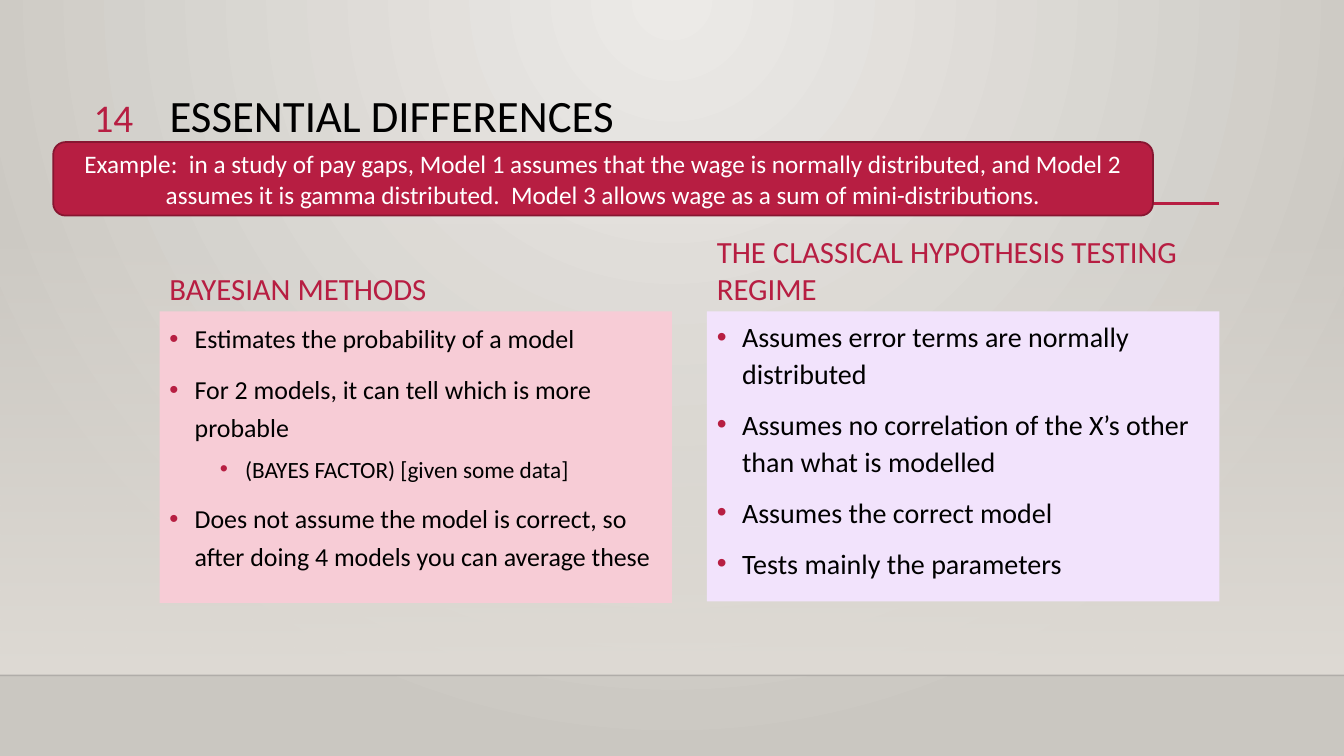
import lxml.etree
import pptx
import pptx.dml.color
import pptx.enum.shapes
import pptx.enum.text
import pptx.oxml.ns
import pptx.util

Pt = pptx.util.Pt
qn = pptx.oxml.ns.qn
Align = pptx.enum.text.PP_ALIGN
Anchor = pptx.enum.text.MSO_ANCHOR
Preset = pptx.enum.shapes.MSO_SHAPE

FONT = "Calibri"
CRIMSON = "B71E42"
BLACK = "000000"
SAND = "DFDBD5"
WIDTH, HEIGHT = 960, 540
FLOOR_TOP = 482.4

BAYESIAN_POINTS = [
    ("Estimates the probability of a model", 0),
    ("For 2 models, it can tell which is more probable", 0),
    ("(BAYES FACTOR) [given some data]", 1),
    ("Does not assume the model is correct, so after doing 4 models you can average these", 0),
]
CLASSICAL_POINTS = [
    ("Assumes error terms are normally distributed", 0),
    ("Assumes no correlation of the X’s other than what is modelled", 0),
    ("Assumes the correct model", 0),
    ("Tests mainly the parameters", 0),
]


def rgb(color):
    return pptx.dml.color.RGBColor.from_string(color)


def add_child(parent, tag, **attributes):
    return lxml.etree.SubElement(parent, qn(tag), attributes)


def set_alpha(color_element, percent):
    add_child(color_element, "a:alpha", val=str(percent * 1000))


def fill_gradient(fill, owner, stops):
    fill.gradient()
    gradient = owner.find(".//" + qn("a:gradFill"))
    for child in list(gradient):
        gradient.remove(child)
    stop_list = add_child(gradient, "a:gsLst")
    for position, color, alpha in stops:
        stop = add_child(stop_list, "a:gs", pos=str(position * 1000))
        set_alpha(add_child(stop, "a:srgbClr", val=color), alpha)
    return gradient


def add_panel(slide, box, preset=Preset.RECTANGLE, fill=None, line=None, line_width=1):
    panel = slide.shapes.add_shape(preset, *map(Pt, box))
    panel.shadow.inherit = False
    if fill:
        panel.fill.solid()
        panel.fill.fore_color.rgb = rgb(fill)
    else:
        panel.fill.background()
    if line:
        panel.line.color.rgb = rgb(line)
        panel.line.width = Pt(line_width)
    else:
        panel.line.fill.background()
    return panel


def add_rule(slide, left, right, y, color, width):
    rule = slide.shapes.add_connector(
        pptx.enum.shapes.MSO_CONNECTOR.STRAIGHT, Pt(left), Pt(y), Pt(right), Pt(y))
    rule.line.color.rgb = rgb(color)
    rule.line.width = Pt(width)
    add_child(rule.element.spPr, "a:effectLst")
    return rule


def write(shape, text, size, color=BLACK, align=Align.LEFT, anchor=Anchor.TOP,
          spacing=None, before=0, level=None):
    frame = shape.text_frame
    frame.word_wrap = True
    frame.vertical_anchor = anchor
    paragraph = frame.add_paragraph() if frame.text else frame.paragraphs[0]
    paragraph.alignment = align
    paragraph.space_before = Pt(before)
    if spacing:
        paragraph.line_spacing = spacing
    run = paragraph.add_run()
    run.text = text
    run.font.name = FONT
    run.font.size = Pt(size)
    run.font.color.rgb = rgb(color)
    if level is not None:
        paragraph.level = level
        properties = paragraph._p.get_or_add_pPr()
        properties.set("marL", str(Pt(18 + 36 * level)))
        properties.set("indent", str(Pt(-18)))
        add_child(add_child(properties, "a:buClr"), "a:srgbClr", val=CRIMSON)
        add_child(properties, "a:buFont", typeface="Arial")
        add_child(properties, "a:buChar", char="•")


def add_label(slide, box, text, size, **formats):
    write(slide.shapes.add_textbox(*map(Pt, box)), text, size, **formats)


def draw_backdrop(slide):
    backdrop = fill_gradient(slide.background.fill, slide.element,
                             [(0, "ECEAE7", 100), (100, "CAC7C1", 100)])
    center = add_child(backdrop, "a:path", path="circle")
    add_child(center, "a:fillToRect", l="43000", t="0", r="43000", b="100000")

    wall_top = 159
    wall = add_panel(slide, (0, wall_top, WIDTH, FLOOR_TOP - wall_top))
    fade = fill_gradient(wall.fill, wall.element, [(0, SAND, 0), (100, SAND, 100)])
    add_child(fade, "a:lin", ang="5400000", scaled="0")

    floor_edge = add_rule(slide, 0, WIDTH, FLOOR_TOP, "000001", 1)
    set_alpha(floor_edge.element.find(".//" + qn("a:srgbClr")), 20)


def draw_heading(slide, box):
    left, top, width, height = box
    add_rule(slide, left + 0.5, left + width, top + 82, CRIMSON, 2.5)
    add_label(slide, box, "ESSENTIAL DIFFERENCES", 32, spacing=0.9)
    add_label(slide, (left - 75.75, top - 0.5, 64, 39.5), "14", 28,
              color=CRIMSON, align=Align.RIGHT)


def draw_column(slide, box, title, points, fill, sizes, spacing):
    left, top, width, height = box
    title_height = 63.4
    add_label(slide, (left, top, width, title_height), title, 22,
              color=CRIMSON, anchor=Anchor.BOTTOM, before=10)
    panel = add_panel(
        slide, (left, top + title_height, width, height - title_height), fill=fill)
    for text, level in points:
        write(panel, text, sizes[level], spacing=spacing,
              before=(10, 5)[level], level=level)


def draw_example(slide, box):
    banner = add_panel(slide, box, Preset.ROUNDED_RECTANGLE, CRIMSON, "871631", 1.25)
    write(banner, "Example:  in a study of pay gaps, Model 1 assumes that the wage is "
          "normally distributed, and Model 2 assumes it is gamma distributed.  "
          "Model 3 allows wage as a sum of mini-distributions.",
          18, color="FFFFFF", align=Align.CENTER, anchor=Anchor.MIDDLE)


def main():
    deck = pptx.Presentation()
    deck.slide_width, deck.slide_height = Pt(WIDTH), Pt(HEIGHT)
    slide = deck.slides.add_slide(deck.slide_layouts[6])
    draw_backdrop(slide)
    draw_heading(slide, (114, 63.4, 757, 83.5))
    draw_column(slide, (114, 159, 366, 271.6), "BAYESIAN METHODS",
                BAYESIAN_POINTS, "F7CCD6", (18.5, 16.6), 1.2)
    draw_column(slide, (505, 159, 366, 270.6), "THE CLASSICAL HYPOTHESIS TESTING REGIME",
                CLASSICAL_POINTS, "F2E3FC", (20, 18), 1.1)
    draw_example(slide, (38, 101.5, 785.5, 52.5))
    deck.save("out.pptx")


if __name__ == "__main__":
    main()
